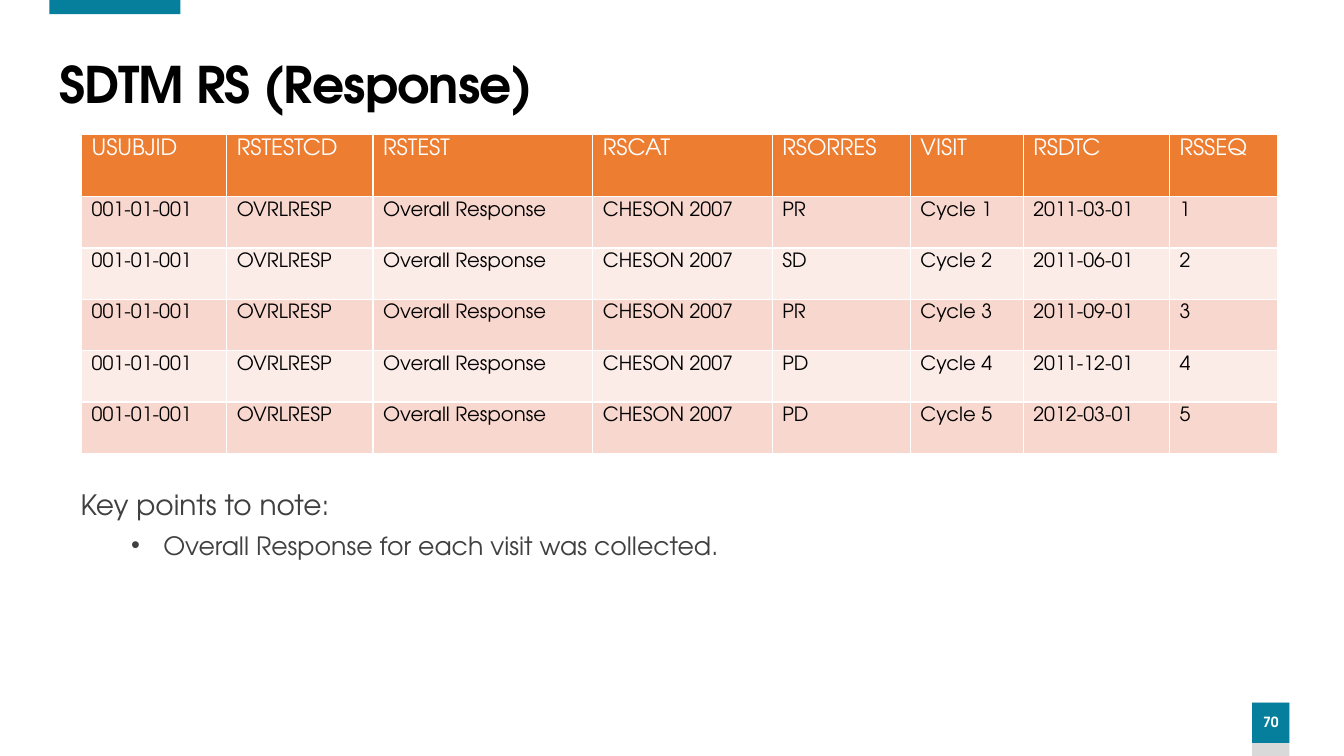
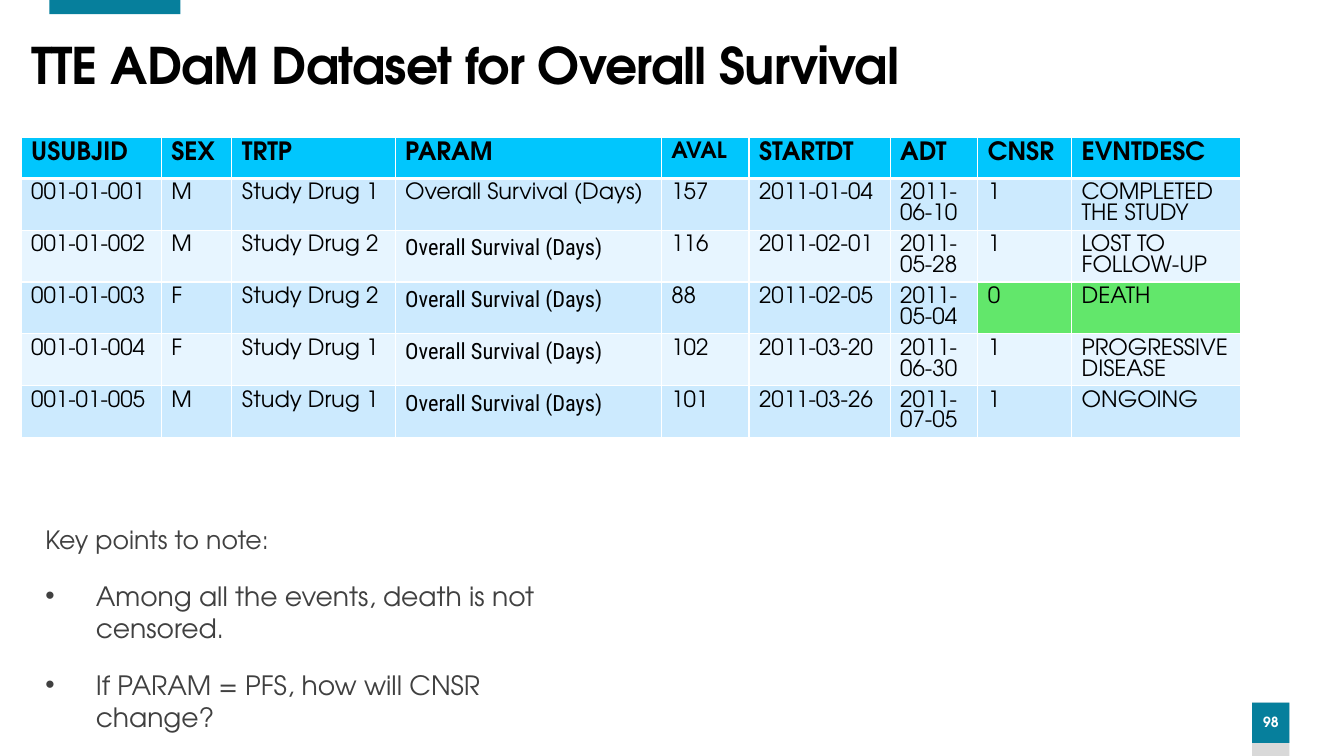
import pptx
import pptx.dml.color
import pptx.enum.shapes
import pptx.enum.text
import pptx.oxml
import pptx.oxml.ns
import pptx.util

PX = 9144  # EMU per px, 100 px to the inch
FACE = "TeX Gyre Adventor"
SLIM = "Roboto Condensed"
TEAL, GREY, INK = "067F9C", "D9D9D9", "404040"
BLACK, WHITE, GREEN = "000000", "FFFFFF", "62E76B"
ALIGN = pptx.enum.text.PP_ALIGN
ANCHOR = pptx.enum.text.MSO_ANCHOR


def px(num):
    return pptx.util.Emu(num * PX)


def color(code):
    return pptx.dml.color.RGBColor.from_string(code)


def paint(item, code):
    item.fill.solid()
    item.fill.fore_color.rgb = color(code)


def style(para, size, code, bold=False, face=FACE):
    font = para.font
    font.name, font.size, font.bold = face, pptx.util.Pt(size), bold
    font.color.rgb = color(code)


def place(shape, box):
    shape.left, shape.top, shape.width, shape.height = map(px, box)


def edge(cell, low):
    """Give a cell white borders; low is the width of the bottom one in points."""
    props = cell._tc.get_or_add_tcPr()
    for spot, (side, width) in enumerate([("L", 1), ("R", 1), ("T", 1), ("B", low)]):
        line = pptx.oxml.parse_xml(
            f'<a:ln{side} {pptx.oxml.ns.nsdecls("a")} w="{pptx.util.Pt(width)}">'
            f'<a:solidFill><a:srgbClr val="{WHITE}"/></a:solidFill></a:ln{side}>')
        props.insert(spot, line)


def bullet(para, left, hang):
    """Indent a paragraph and hang a bullet before it, or none if hang is 0."""
    props = para._p.get_or_add_pPr()
    props.set("marL", str(px(left)))
    props.set("indent", str(px(-hang)))
    kind = 'buChar char="•"' if hang else "buNone"
    props.append(pptx.oxml.parse_xml(f'<a:{kind} {pptx.oxml.ns.nsdecls("a")}/>'))


class Deck:
    def __init__(self):
        self.file = pptx.Presentation()
        self.file.slide_width, self.file.slide_height = px(1333), px(750)
        self.slide = None

    def rect(self, box, code):
        shape = self.slide.shapes.add_shape(
            pptx.enum.shapes.MSO_SHAPE.RECTANGLE, *map(px, box))
        shape.shadow.inherit = False
        paint(shape, code)
        shape.line.fill.background()
        return shape

    def start(self, page):
        """Add a slide with its top band and page number."""
        self.slide = self.file.slides.add_slide(self.file.slide_layouts[1])
        self.rect((1242, 697, 37, 53), GREY)
        frame = self.rect((1242, 697, 37, 40), TEAL).text_frame
        frame.margin_left = frame.margin_right = 0
        frame.vertical_anchor = ANCHOR.MIDDLE
        para = frame.paragraphs[0]
        para.text, para.alignment, para.line_spacing = page, ALIGN.CENTER, 0.9
        style(para, 10, WHITE, True)
        self.rect((49, 0, 130, 14), TEAL)

    def title(self, text, box):
        shape = self.slide.shapes.title
        place(shape, box)
        frame = shape.text_frame
        frame.auto_size = pptx.enum.text.MSO_AUTO_SIZE.NONE
        frame.vertical_anchor = ANCHOR.MIDDLE
        para = frame.paragraphs[0]
        para.text, para.alignment, para.line_spacing = text, ALIGN.LEFT, 0.9
        style(para, 36, BLACK, True)
        para.runs[0]._r.get_or_add_rPr().set("spc", "-60")

    def notes(self, items, box, before, after):
        """Fill the body with (text, size, level, left, hang) items."""
        shape = self.slide.placeholders[1]
        place(shape, box)
        frame = shape.text_frame
        frame.auto_size = pptx.enum.text.MSO_AUTO_SIZE.NONE
        for spot, (text, size, level, left, hang) in enumerate(items):
            para = frame.add_paragraph() if spot else frame.paragraphs[0]
            para.text, para.level = text, level
            para.space_before = pptx.util.Pt(before)
            para.space_after = pptx.util.Pt(after)
            bullet(para, left, hang)
            style(para, size, INK)

    def table(self, rows, spot, cols, highs, fills, head, size, low):
        """Draw a banded table; fills are head, odd and even, head is (size, colour, bold)."""
        box = (*spot, sum(cols), highs[0] + highs[1] * (len(rows) - 1))
        grid = self.slide.shapes.add_table(len(rows), len(cols), *map(px, box)).table
        grid.first_row = grid.horz_banding = False
        for col, wide in zip(grid.columns, cols):
            col.width = px(wide)
        for r, row in enumerate(rows):
            grid.rows[r].height = px(highs[min(r, 1)])
            for c, text in enumerate(row):
                cell = grid.cell(r, c)
                paint(cell, fills[0] if r == 0 else fills[2 - r % 2])
                edge(cell, 1 if r else low)
                para = cell.text_frame.paragraphs[0]
                para.text = text
                style(para, *((size, BLACK) if r else head))
        return grid


def response(deck):
    deck.start("70")
    deck.title("SDTM RS (Response)", (49, 54, 1222, 65))
    deck.notes([("Key points to note:", 20, 0, 0, 0),
                ("Overall Response for each visit was collected.", 18, 1, 82, 32)],
               (70, 479, 857, 138), 0, 6)
    rows = [("USUBJID", "RSTESTCD", "RSTEST", "RSCAT", "RSORRES", "VISIT", "RSDTC", "RSSEQ")]
    visits = [("PR", "2011-03-01"), ("SD", "2011-06-01"), ("PR", "2011-09-01"),
              ("PD", "2011-12-01"), ("PD", "2012-03-01")]
    for num, (code, date) in enumerate(visits, 1):
        rows.append(("001-01-001", "OVRLRESP", "Overall Response", "CHESON 2007",
                     code, f"Cycle {num}", date, str(num)))
    deck.table(rows, (81, 133), (144, 145, 218, 178, 137, 112, 145, 107), (62, 51),
               ("ED7D31", "F8D7CE", "FCECE8"), (16, WHITE), 14, 1)


def survival(deck):
    deck.start("98")
    deck.title("TTE ADaM Dataset for Overall Survival", (21, 21, 1029, 93))
    deck.notes([("Key points to note:", 18, 0, 0, 0),
                ("Among all the events, death is not censored.", 19, 0, 50, 50),
                ("If PARAM = PFS, how will CNSR change?", 19, 0, 50, 50)],
               (35, 515, 549, 132), 6, 12)
    rows = [("USUBJID", "SEX", "TRTP", "PARAM", "AVAL", "STARTDT", "ADT", "CNSR", "EVNTDESC")]
    cases = [("M", 1, "157", "2011-01-04", "2011-06-10", "1", "COMPLETED THE STUDY"),
             ("M", 2, "116", "2011-02-01", "2011-05-28", "1", "LOST TO FOLLOW-UP"),
             ("F", 2, "88", "2011-02-05", "2011-05-04", "0", "DEATH"),
             ("F", 1, "102", "2011-03-20", "2011-06-30", "1", "PROGRESSIVE DISEASE"),
             ("M", 1, "101", "2011-03-26", "2011-07-05", "1", "ONGOING")]
    for num, (sex, drug, *rest) in enumerate(cases, 1):
        rows.append((f"001-01-00{num}", sex, f"Study Drug {drug}",
                     "Overall Survival (Days)", *rest))
    grid = deck.table(rows, (21, 136), (139, 70, 162, 264, 87, 140, 87, 93, 168), (41, 51),
                      ("01C6FD", "CCEAFE", "E7F5FF"), (18, BLACK, True), 16, 3)
    style(grid.cell(0, 4).text_frame.paragraphs[0], 16, BLACK, True)
    for r in range(2, len(rows)):
        style(grid.cell(r, 3).text_frame.paragraphs[0], 16, BLACK, face=SLIM)
    for c in (7, 8):
        paint(grid.cell(3, c), GREEN)


def main():
    deck = Deck()
    response(deck)
    survival(deck)
    deck.file.save("out.pptx")


if __name__ == "__main__":
    main()
